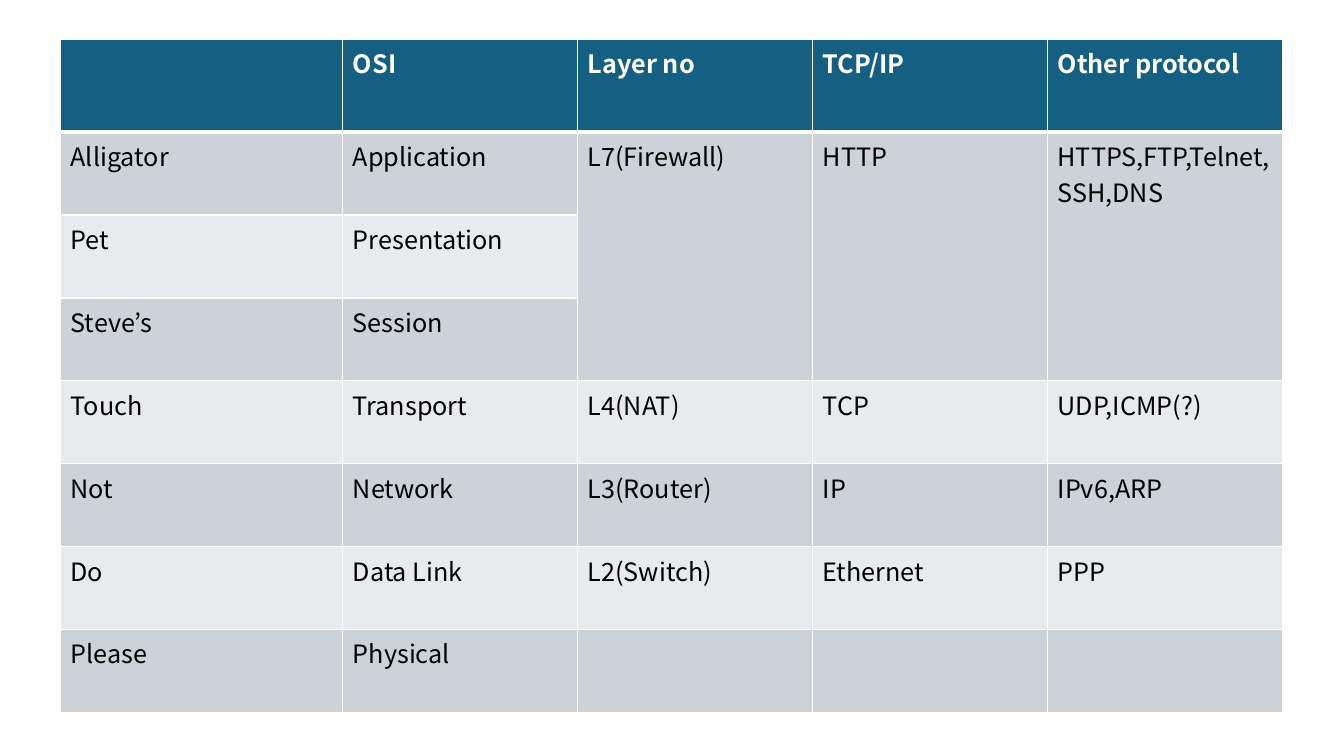
from lxml import etree
from pptx import Presentation
from pptx.dml.color import RGBColor
from pptx.oxml.ns import qn
from pptx.util import Inches, Pt

FONT = "Noto Sans CJK KR"
HEADER_FILL, ODD_FILL, EVEN_FILL = "156082", "CCD2D8", "E8EAED"
TABLE_HEIGHT, HEADER_HEIGHT = 6.68, 0.92
COLUMN_WIDTHS = [2.8] + [2.33] * 4

LAYERS = [
    ["", "OSI", "Layer no", "TCP/IP", "Other protocol"],
    ["Alligator", "Application", "L7(Firewall)", "HTTP", "HTTPS,FTP,Telnet,SSH,DNS"],
    ["Pet", "Presentation", "", "", ""],
    ["Steve’s", "Session", "", "", ""],
    ["Touch", "Transport", "L4(NAT)", "TCP", "UDP,ICMP(?)"],
    ["Not", "Network", "L3(Router)", "IP", "IPv6,ARP"],
    ["Do", "Data Link", "L2(Switch)", "Ethernet", "PPP"],
    ["Please", "Physical", "", "", ""],
]


def color(hex_value):
    return RGBColor.from_string(hex_value)


def add_border(cell, side, points):
    line = etree.SubElement(cell._tc.get_or_add_tcPr(), qn(f"a:ln{side}"), w=str(Pt(points)))
    fill = etree.SubElement(line, qn("a:solidFill"))
    etree.SubElement(fill, qn("a:srgbClr"), val="FFFFFF")


prs = Presentation()
prs.slide_width, prs.slide_height = Inches(13.33), Inches(7.5)
slide = prs.slides.add_slide(prs.slide_layouts[6])

# Table grid: one header row, then equal layer rows
layer_table = slide.shapes.add_table(
    len(LAYERS), len(COLUMN_WIDTHS),
    Inches(0.6), Inches(0.39), Inches(sum(COLUMN_WIDTHS)), Inches(TABLE_HEIGHT),
).table
for column, width in zip(layer_table.columns, COLUMN_WIDTHS):
    column.width = Inches(width)
layer_height = (TABLE_HEIGHT - HEADER_HEIGHT) / (len(LAYERS) - 1)
for r, row in enumerate(layer_table.rows):
    row.height = Inches(layer_height if r else HEADER_HEIGHT)

# Cells: borders, banded fills and text
for r, layer in enumerate(LAYERS):
    is_header = r == 0
    band = HEADER_FILL if is_header else ODD_FILL if r % 2 else EVEN_FILL
    for c, label in enumerate(layer):
        cell = layer_table.cell(r, c)
        for side in "LRTB":
            under_header = (r, side) in [(0, "B"), (1, "T")]
            add_border(cell, side, 3 if under_header else 1)
        cell.fill.solid()
        cell.fill.fore_color.rgb = color(band)
        if label:
            run = cell.text_frame.paragraphs[0].add_run()
            run.text = label
            run.font.name = FONT
            run.font.size = Pt(18)
            run.font.bold = is_header
            run.font.color.rgb = color("FFFFFF" if is_header else "000000")

# The top three OSI layers share one cell in each of the last columns
for c in range(2, 5):
    layer_table.cell(1, c).merge(layer_table.cell(3, c))

prs.save("out.pptx")
